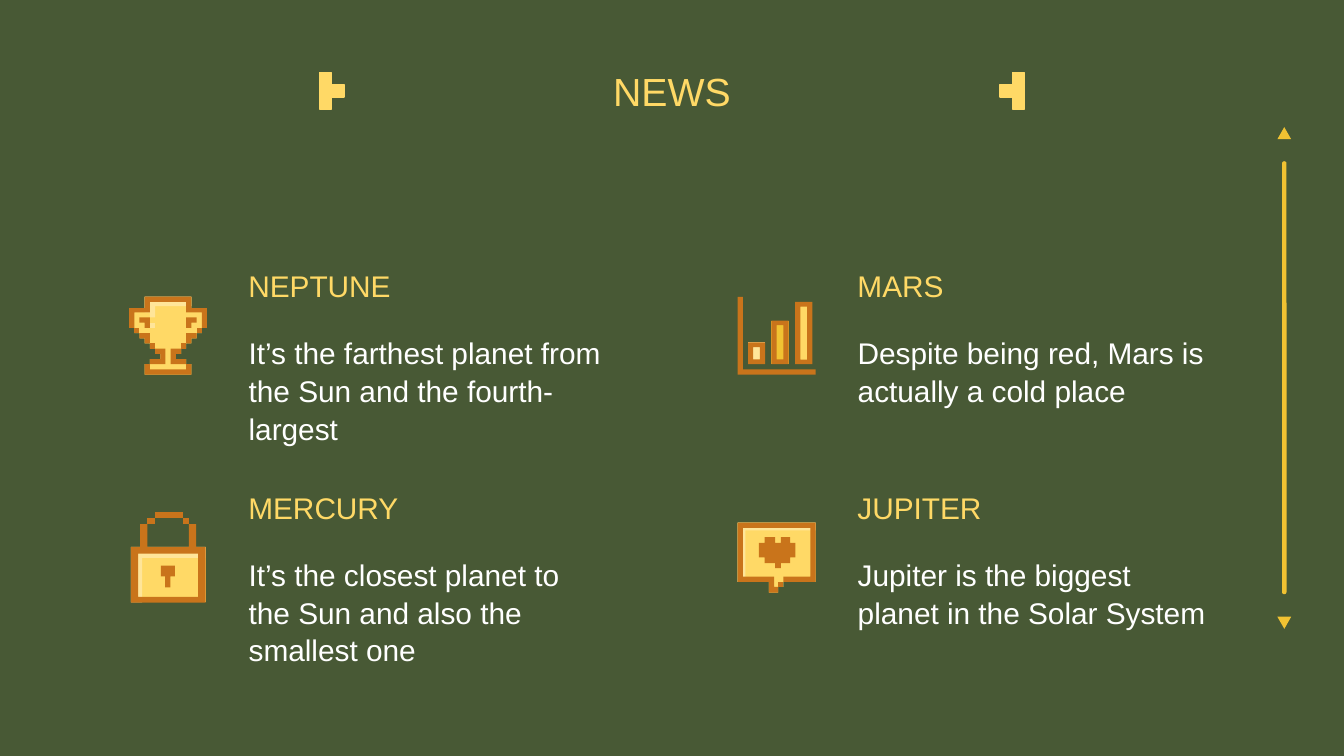
from dataclasses import dataclass

from lxml.etree import SubElement
from pptx import Presentation
from pptx.dml.color import RGBColor
from pptx.enum.shapes import MSO_SHAPE as Preset
from pptx.enum.text import MSO_ANCHOR as Anchor, MSO_AUTO_SIZE as AutoSize, PP_ALIGN as Align
from pptx.oxml.ns import qn
from pptx.util import Pt

GREEN = "485935"
YELLOW = "FFD966"
LIGHT = "FFE599"
GOLD = "F1C232"
BROWN = "C9741B"
WHITE = "FFFFFF"
FONT = "Arial"
CELL = 2.78
INSET = 7.2
SLIDE_WIDTH = 720

Outline = list[tuple[float, float]]


@dataclass
class Layer:
    color: str
    outlines: list[Outline]


@dataclass
class Icon:
    left: float
    top: float
    layers: list[Layer]


@dataclass
class Card:
    left: float
    top: float
    heading: str
    text: str


def rgb(color: str) -> RGBColor:
    return RGBColor.from_string(color)


def paint(shape, color: str, line_width: float = 0) -> None:
    shape.shadow.inherit = False
    shape.fill.solid()
    shape.fill.fore_color.rgb = rgb(color)
    if line_width:
        shape.line.color.rgb = rgb(color)
        shape.line.width = Pt(line_width)
    else:
        shape.line.fill.background()


def corners(outline: Outline) -> Outline:
    points = [outline[0]]
    for x, y in outline[1:]:
        points += [(points[-1][0], y), (x, y)]
    return points + [(outline[-1][0], outline[0][1])]


def mirror(outline: Outline, width: float) -> Outline:
    return [(width - x, y) for x, y in outline]


def draw_icon(slide, icon: Icon, cell: float = CELL, line_width: float = 0) -> None:
    group = slide.shapes.add_group_shape()
    for layer in icon.layers:
        builder = None
        for outline in layer.outlines:
            points = [(Pt(icon.left + x * cell), Pt(icon.top + y * cell)) for x, y in corners(outline)]
            if builder is None:
                builder = group.shapes.build_freeform(*points[0])
            else:
                builder.move_to(*points[0])
            builder.add_line_segments(points[1:], close=True)
        paint(builder.convert_to_shape(), layer.color, line_width)


def place(shape, left: float, top: float, width: float, height: float) -> None:
    shape.left, shape.top, shape.width, shape.height = Pt(left), Pt(top), Pt(width), Pt(height)


def write(shape, text: str, size: float, color: str, anchor: Anchor, align: Align = Align.LEFT,
          line_spacing: float = 1.0) -> None:
    frame = shape.text_frame
    frame.text = text
    frame.word_wrap = True
    frame.auto_size = AutoSize.NONE
    frame.vertical_anchor = anchor
    frame.margin_left = frame.margin_right = frame.margin_top = frame.margin_bottom = Pt(INSET)
    paragraph = frame.paragraphs[0]
    properties = paragraph._p.get_or_add_pPr()
    properties.set("marL", "0")
    properties.set("indent", "0")
    SubElement(properties, qn("a:buNone"))
    paragraph.alignment = align
    paragraph.line_spacing = line_spacing
    paragraph.space_before = Pt(0)
    paragraph.font.name = FONT
    paragraph.font.size = Pt(size)
    paragraph.font.bold = False
    paragraph.font.color.rgb = rgb(color)


def draw_card(slide, card: Card, body) -> None:
    heading = slide.shapes.add_textbox(Pt(card.left), Pt(card.top), Pt(206.6), Pt(31))
    write(heading, card.heading, 16, YELLOW, Anchor.BOTTOM)
    place(body, card.left, card.top + 32.4, 206.6, 58.3)
    write(body, card.text, 16, WHITE, Anchor.TOP, line_spacing=1.05)


def draw_preset(slide, preset: Preset, left: float, top: float, width: float, height: float):
    shape = slide.shapes.add_shape(preset, Pt(left), Pt(top), Pt(width), Pt(height))
    paint(shape, GOLD)
    return shape


def chart_layers() -> list[Layer]:
    layers = [Layer(BROWN, [[(0, 0), (15, 15), (1, 14)]])]
    for left, top, color in [(2, 8.8, LIGHT), (6.5, 4.6, GOLD), (11.1, 1, YELLOW)]:
        bar = [(left, top), (left + 3.3, 13)]
        hole = [(left + 2.3, top + 0.9), (left + 1, 12.1)]
        layers += [Layer(color, [bar]), Layer(BROWN, [hole, bar])]
    return layers


def trophy_layers() -> list[Layer]:
    left_shadows = [
        [(4, 9), (5, 10)],
        [(5, 10), (6, 11), (4, 12), (7, 13)],
        [(1, 6), (2, 7)],
        [(2, 7), (3, 8), (4, 9)],
        [(2, 4), (3, 5), (4, 6)],
    ]
    cup = [(3, 0), (0, 2.2), (1, 6), (2, 7), (3, 8), (4, 9), (5, 10), (6, 11), (4, 12), (3, 13),
           (12, 15), (11, 13), (9, 12), (10, 11), (11, 10), (12, 9), (13, 8), (14, 7), (15, 6), (12, 2.2)]
    rim = [(3, 0), (0, 2.2), (1, 6), (4, 3), (11, 1), (14, 3), (15, 6), (12, 2.2)]
    base = [(3, 13), (12, 15), (11, 13), (4, 14)]
    shadows = left_shadows + [mirror(shadow, 15) for shadow in left_shadows] + [base, rim]
    return [
        Layer(YELLOW, [cup]),
        Layer(LIGHT, [[(3, 0), (4, 3), (5, 4), (12, 1.8)]]),
        Layer(LIGHT, [[(3, 5), (5, 6)]]),
    ] + [Layer(BROWN, [shadow]) for shadow in shadows]


BUBBLE = [
    Layer(YELLOW, [[(0, 0), (6, 11.4), (7.8, 13.5), (8.8, 12.4), (15, 11.4)]]),
    Layer(LIGHT, [[(0, 0), (1.5, 11.4), (15, 1.5)]]),
    Layer(BROWN, [[(5.2, 2.8), (4.1, 3.9), (5.2, 6.7), (7.2, 7.8), (8.3, 8.8), (10.1, 7.8),
                   (11.1, 6.7), (10.1, 3.9), (8.3, 2.8), (7.2, 3.9)]]),
    Layer(BROWN, [[(7.8, 11.4), (8.8, 12.4)]]),
    Layer(BROWN, [[(0, 0), (6, 11.4), (7.8, 13.5), (7, 12.4), (1, 10.4), (14, 1), (8.8, 10.4), (15, 11.4)]]),
]
LOCK = [
    Layer(YELLOW, [[(0, 6.7), (14.4, 17.4)]]),
    Layer(LIGHT, [[(0, 6.7), (2.2, 17.4), (14.4, 8.8)]]),
    Layer(BROWN, [[(4.6, 0), (10, 1.1)]]),
    Layer(BROWN, [[(13, 8), (1.4, 16.3)],
                  [(1.8, 2.3), (0, 6.7), (14.4, 17.4), (12.6, 6.7), (11.2, 2.3), (3.2, 6.7)]]),
    Layer(BROWN, [[(3.2, 1.1), (4.6, 2.3)]]),
    Layer(BROWN, [[(10, 1.1), (11.2, 2.3)]]),
    Layer(BROWN, [[(5.8, 10.3), (6.6, 12.4), (7.6, 14.5), (8.5, 12.4)]]),
]
BRACKET = [[(x, y), (x + 1, y + 1)] for x, y in [(0, 2), (0, 1), (0, 0), (1, 1)]]
CARDS = [
    Card(126, 139, "NEPTUNE", "It’s the farthest planet from the Sun and the fourth-largest"),
    Card(126, 257.8, "MERCURY", "It’s the closest planet to the Sun and also the smallest one"),
    Card(452.3, 139, "MARS", "Despite being red, Mars is actually a cold place"),
    Card(452.3, 257.8, "JUPITER", "Jupiter is the biggest planet in the Solar System"),
]
ICONS = [
    Icon(395.2, 159, chart_layers()),
    Icon(395.2, 280, BUBBLE),
    Icon(69.2, 159, trophy_layers()),
    Icon(70.1, 274.4, LOCK),
]


def main() -> None:
    presentation = Presentation()
    presentation.slide_width, presentation.slide_height = Pt(SLIDE_WIDTH), Pt(405)
    slide = presentation.slides.add_slide(presentation.slide_layouts[4])
    slide.background.fill.solid()
    slide.background.fill.fore_color.rgb = rgb(GREEN)

    title = slide.shapes.title
    place(title, 24.5, 23, 671, 45.4)
    write(title, "NEWS", 21, YELLOW, Anchor.BOTTOM, Align.CENTER)
    bodies = [shape for shape in slide.placeholders if 1 <= shape.placeholder_format.idx <= 4]
    for card, body in zip(CARDS, bodies):
        draw_card(slide, card, body)
    for icon in ICONS:
        draw_icon(slide, icon)

    draw_preset(slide, Preset.ROUNDED_RECTANGLE, 686.8, 86.4, 2.4, 232).adjustments[0] = 0.5
    left_bracket = [Layer(YELLOW, [square]) for square in BRACKET]
    right_bracket = [Layer(YELLOW, [mirror(square, 0)]) for square in BRACKET]
    draw_icon(slide, Icon(171.2, 38.9, left_bracket), 6.5, 0.75)
    draw_icon(slide, Icon(SLIDE_WIDTH - 171.2, 38.9, right_bracket), 6.5, 0.75)
    draw_preset(slide, Preset.ISOSCELES_TRIANGLE, 684.3, 68.1, 7.4, 6.5)
    draw_preset(slide, Preset.ISOSCELES_TRIANGLE, 684.3, 330.4, 7.4, 6.5).rotation = 180
    presentation.save("out.pptx")


if __name__ == "__main__":
    main()
